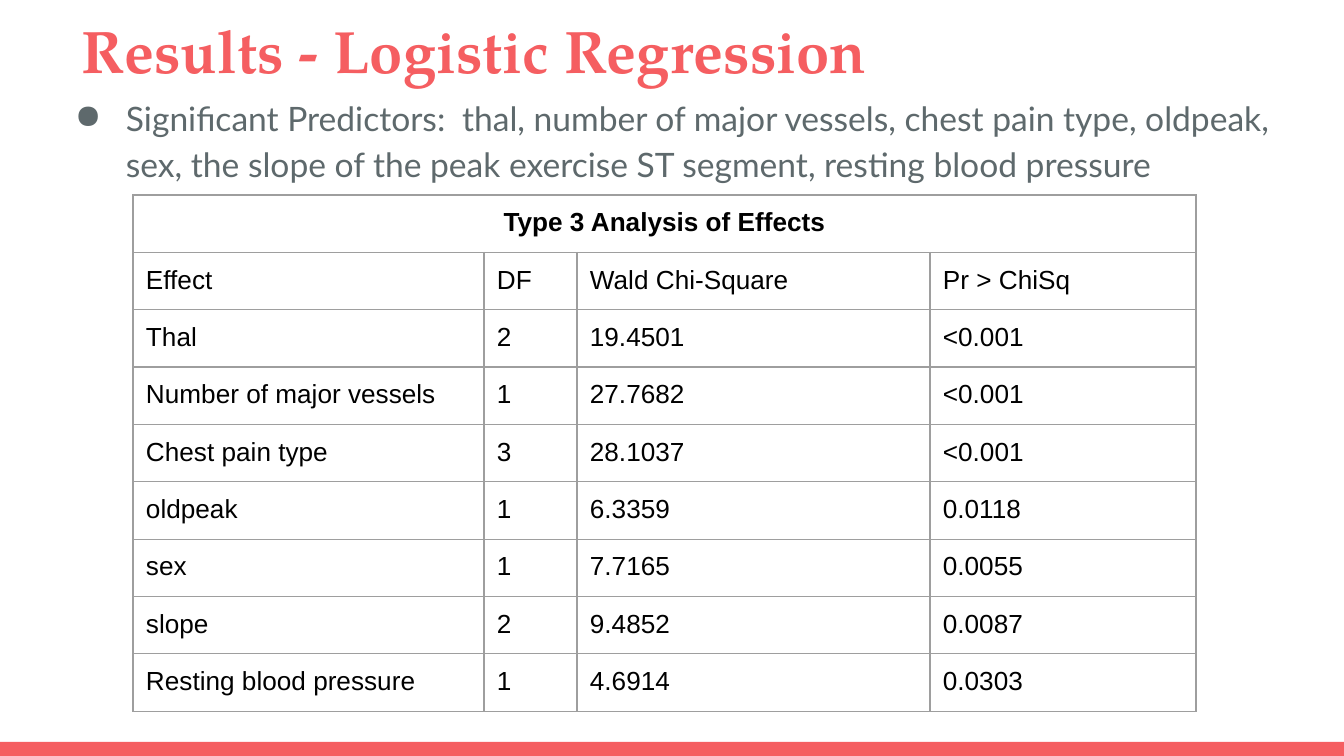
"""Build the slide of logistic regression results."""
import dataclasses
import typing

import lxml.etree
import pptx
import pptx.dml.color
import pptx.enum.shapes
import pptx.enum.text
import pptx.oxml.ns
import pptx.util

SCALE = 914400 / 134.4
PAD = 13
ALIGN = pptx.enum.text.PP_ALIGN


@dataclasses.dataclass(frozen=True)
class Style:
    face: str
    size: int
    color: str
    bold: bool = False


@dataclasses.dataclass(frozen=True)
class Theme:
    coral: str = "F55E61"
    rule: str = "9E9E9E"
    paper: str = "FFFFFF"
    line: float = 0.75
    title: Style = Style("TeX Gyre Pagella", 32, "F55E61", True)
    body: Style = Style("Lato", 18, "5E696C")
    cell: Style = Style("Arial", 14, "000000")
    head: Style = Style("Arial", 14, "000000", True)


@dataclasses.dataclass(frozen=True)
class Box:
    left: int
    top: int
    width: int
    height: int


@dataclasses.dataclass(frozen=True)
class Label:
    text: str
    box: Box
    style: Style
    mark: str = ""


THEME = Theme()
LABELS = (
    Label("Results - Logistic Regression", Box(69, 1, 1253, 91), THEME.title),
    Label("Significant Predictors: \tthal, number of major vessels, chest pain type, "
          "oldpeak, sex, the slope of the peak exercise ST segment, resting blood pressure",
          Box(46, 79, 1253, 503), THEME.body, "●"),
)
BAR = Box(0, 742, 1344, 14)
GRID = Box(133, 195, 1063, 504)
COLS = (351, 93, 353, 266)
ROWS = (
    ("Type 3 Analysis of Effects", "", "", ""),
    ("Effect", "DF", "Wald Chi-Square", "Pr > ChiSq"),
    ("Thal", "2", "19.4501", "<0.001"),
    ("Number of major vessels", "1", "27.7682", "<0.001"),
    ("Chest pain type", "3", "28.1037", "<0.001"),
    ("oldpeak", "1", "6.3359", "0.0118"),
    ("sex", "1", "7.7165", "0.0055"),
    ("slope", "2", "9.4852", "0.0087"),
    ("Resting blood pressure", "1", "4.6914", "0.0303"),
)


def emu(px: int) -> int:
    """Turn px into EMU."""
    return round(px * SCALE)


def place(box: Box) -> tuple[int, ...]:
    """Give the sides of a box in EMU."""
    return tuple(emu(px) for px in dataclasses.astuple(box))


def apply(item: typing.Any, form: dict[str, typing.Any]) -> None:
    """Set each format value on an item."""
    for name, value in form.items():
        setattr(item, name, value)


def tint(color: str) -> pptx.dml.color.RGBColor:
    """Turn a hex code into a colour."""
    return pptx.dml.color.RGBColor.from_string(color)


def pads() -> dict[str, int]:
    """Give the equal insets of a text area."""
    return {f"margin_{side}": emu(PAD) for side in ("left", "top", "right", "bottom")}


def node(root: typing.Any, tag: str, **attrs: str) -> typing.Any:
    """Add an XML child with its values."""
    return lxml.etree.SubElement(root, pptx.oxml.ns.qn(tag), attrs)


def write(para: typing.Any, text: str, style: Style) -> None:
    """Add one styled run to a paragraph."""
    run = para.add_run()
    run.text = text
    apply(run.font, {"name": style.face, "size": pptx.util.Pt(style.size), "bold": style.bold})
    run.font.color.rgb = tint(style.color)


def bullet(para: typing.Any, mark: str, color: str) -> None:
    """Give a paragraph a hanging bullet."""
    para.line_spacing = 1.15
    props = para._p.get_or_add_pPr()
    props.set("marL", str(emu(67)))
    props.set("indent", str(emu(-51)))
    node(node(props, "a:buClr"), "a:srgbClr", val=color)
    node(props, "a:buChar", char=mark)


def draw_label(slide: typing.Any, label: Label) -> None:
    """Draw one text box."""
    frame = slide.shapes.add_textbox(*place(label.box)).text_frame
    apply(frame, pads() | {"word_wrap": True})
    para = frame.paragraphs[0]
    if label.mark:
        bullet(para, label.mark, label.style.color)
    write(para, label.text, label.style)


def draw_bar(slide: typing.Any, box: Box) -> None:
    """Draw the coral foot bar."""
    bar = slide.shapes.add_shape(pptx.enum.shapes.MSO_SHAPE.RECTANGLE, *place(box))
    bar.shadow.inherit = False
    bar.fill.solid()
    bar.fill.fore_color.rgb = tint(THEME.coral)
    bar.line.fill.background()


def edge(cell: typing.Any) -> None:
    """Rule all four sides of a cell."""
    props = cell._tc.get_or_add_tcPr()
    for tag in ("a:lnL", "a:lnR", "a:lnT", "a:lnB"):
        line = node(props, tag, w=str(pptx.util.Pt(THEME.line)))
        node(node(line, "a:solidFill"), "a:srgbClr", val=THEME.rule)


def draw_table(slide: typing.Any, box: Box) -> None:
    """Draw the table of effects."""
    table = slide.shapes.add_table(len(ROWS), len(COLS), *place(box)).table
    apply(table, {"first_row": False, "horz_banding": False})
    for col, width in zip(table.columns, COLS):
        col.width = emu(width)
    table.cell(0, 0).merge(table.cell(0, len(COLS) - 1))
    for r, row in enumerate(ROWS):
        table.rows[r].height = emu(box.height // len(ROWS))
        for c, text in enumerate(row):
            cell = table.cell(r, c)
            apply(cell, pads())
            edge(cell)
            cell.fill.solid()
            cell.fill.fore_color.rgb = tint(THEME.paper)
            if text:
                para = cell.text_frame.paragraphs[0]
                para.alignment = ALIGN.LEFT if r else ALIGN.CENTER
                write(para, text, THEME.cell if r else THEME.head)


def main() -> None:
    """Build and save the deck."""
    deck = pptx.Presentation()
    apply(deck, {"slide_width": emu(1344), "slide_height": emu(756)})
    slide = deck.slides.add_slide(deck.slide_layouts[6])
    draw_bar(slide, BAR)
    for label in LABELS:
        draw_label(slide, label)
    draw_table(slide, GRID)
    deck.save("out.pptx")


if __name__ == "__main__":
    main()
